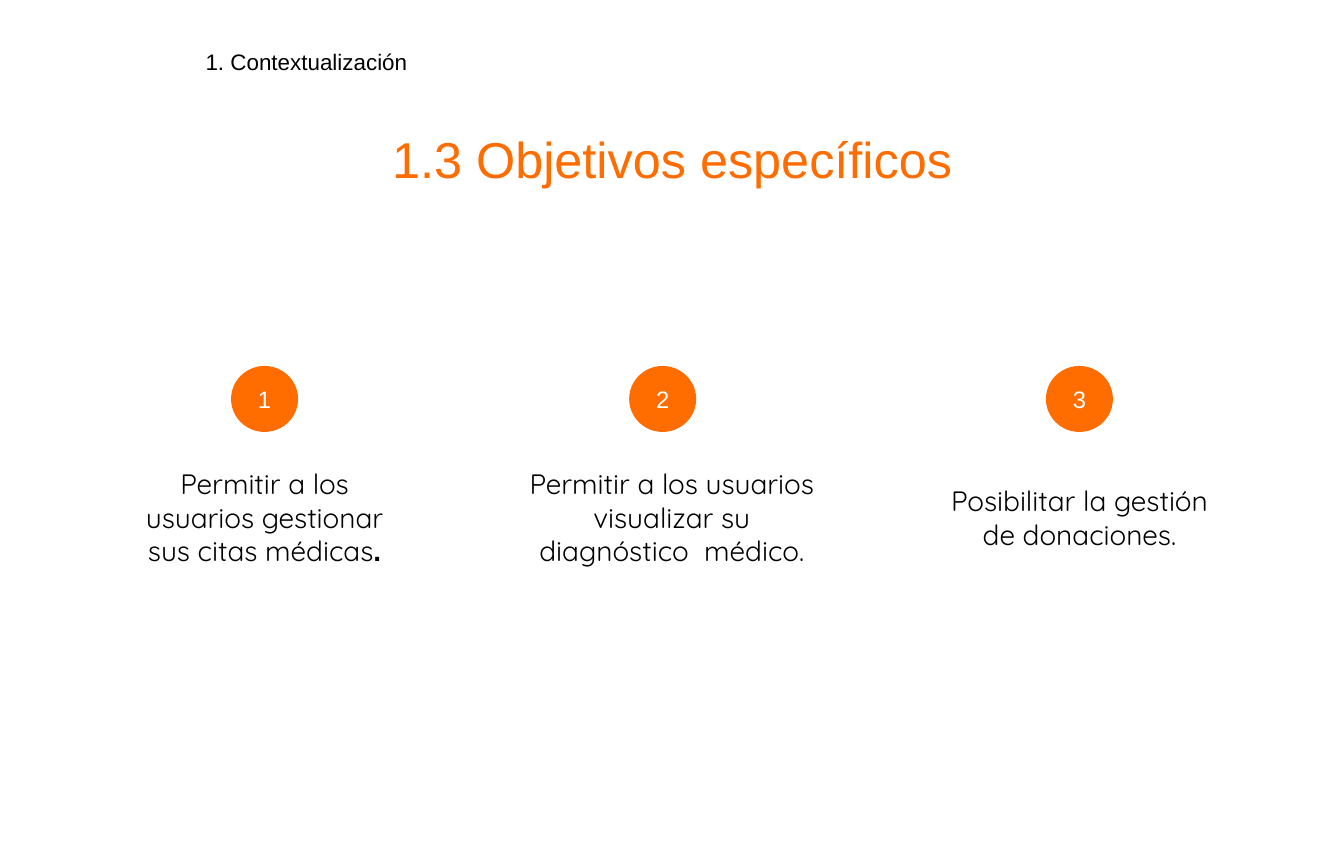
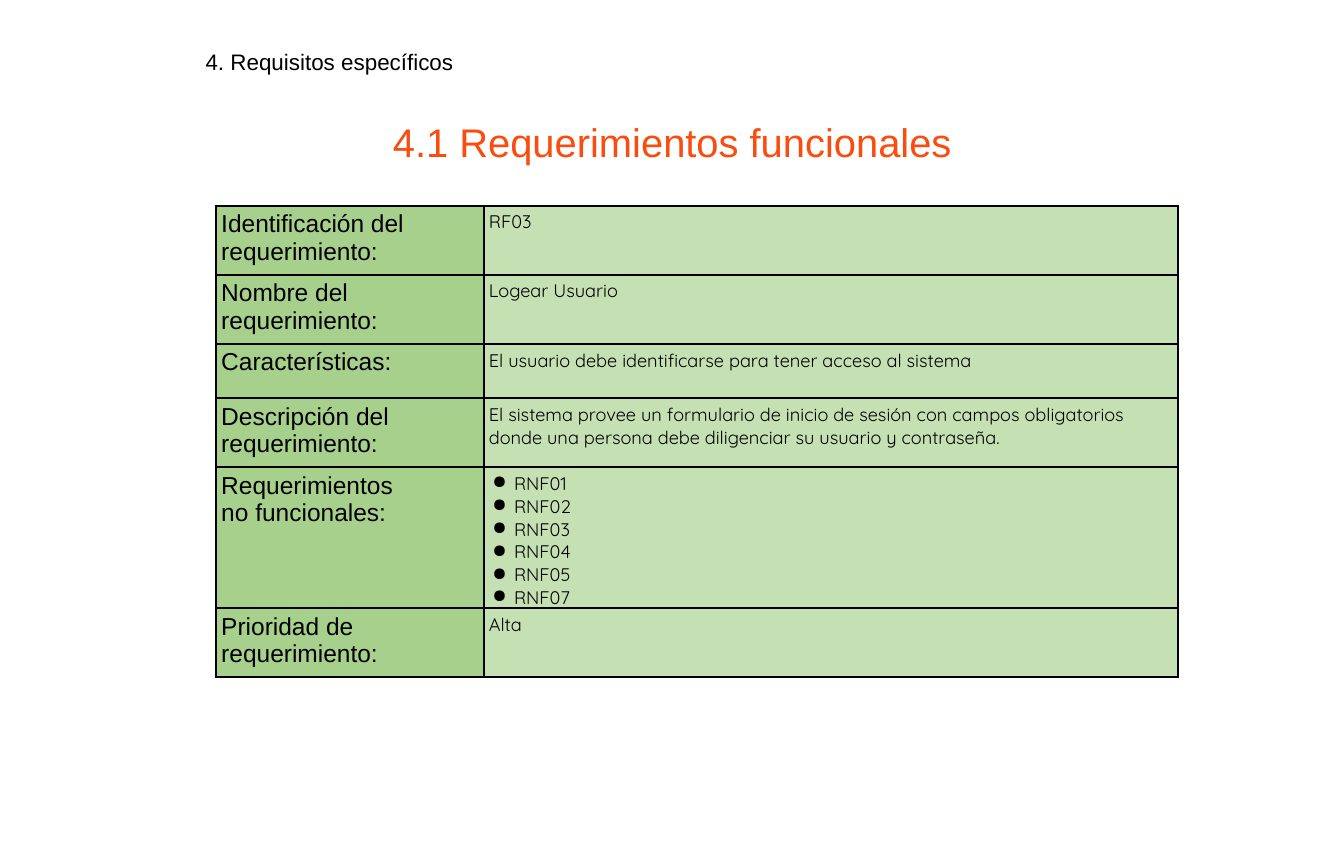
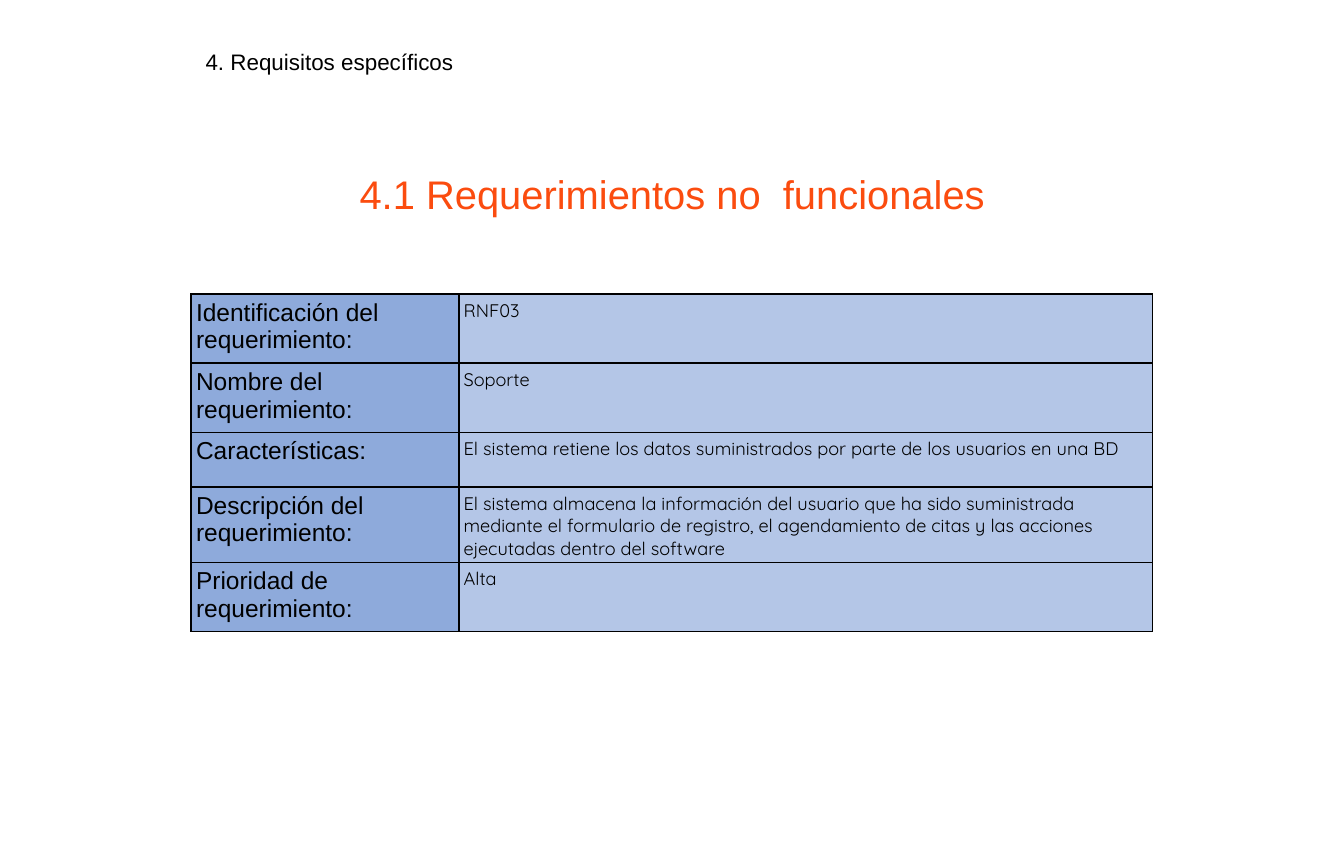
from dataclasses import dataclass

from lxml import etree
from pptx import Presentation
from pptx.dml.color import RGBColor
from pptx.enum import shapes, text
from pptx.oxml import ns
from pptx.util import Inches, Pt


@dataclass(frozen=True)
class Theme:
    heading_font: str = "Arial"
    body_font: str = "Quicksand"
    ink: str = "000000"
    white: str = "FFFFFF"
    orange: str = "FF6D00"
    red_orange: str = "FB4C0F"
    greens: tuple = ("A8D08D", "C5E0B3")
    blues: tuple = ("8EAADB", "B4C6E7")
    section_size: int = 32
    main_title_size: int = 72
    title_size: int = 57
    objective_size: int = 40
    number_size: int = 34
    label_size: int = 35
    value_size: int = 26
    border_width: int = 3


THEME = Theme()
CENTER = text.PP_ALIGN.CENTER
MIDDLE = text.MSO_ANCHOR.MIDDLE

COLUMN_WIDTHS = (5.31, 13.77)
ONE_LINE, TWO_LINES, THREE_LINES, SIX_LINES = 1.08, 1.37, 1.5, 2.8

IDENTIFIER = ["Identificación del requerimiento:"]
NAME = ["Nombre del requerimiento:"]
FEATURES = ["Características:"]
DESCRIPTION = ["Descripción del", "requerimiento:"]
NON_FUNCTIONAL = ["Requerimientos", "no funcionales:"]
PRIORITY = ["Prioridad de", "requerimiento:"]

# Centre of the number, centre of the statement, statement width, statement runs
OBJECTIVES = [
    (5.25, 5.25, 5.4, [("Permitir a los usuarios gestionar sus citas médicas", {}),
                       (".", {"name": THEME.heading_font, "bold": True})]),
    (13.15, 13.33, 6.1,
     [("Permitir a los usuarios visualizar su diagnóstico  médico.", {})]),
    (21.42, 21.42, 5.4, [("Posibilitar la gestión de donaciones.", {})]),
]

# Label, value lines, row height
FUNCTIONAL_ROWS = [
    (IDENTIFIER, ["RF03"], TWO_LINES),
    (NAME, ["Logear Usuario"], TWO_LINES),
    (FEATURES, ["El usuario debe identificarse para tener acceso al sistema"], ONE_LINE),
    (DESCRIPTION, ["El sistema provee un formulario de inicio de sesión con campos "
                   "obligatorios donde una persona debe diligenciar su usuario y "
                   "contraseña."], TWO_LINES),
    (NON_FUNCTIONAL, ["RNF01", "RNF02", "RNF03", "RNF04", "RNF05", "RNF07"], SIX_LINES),
    (PRIORITY, ["Alta"], TWO_LINES),
]
NON_FUNCTIONAL_ROWS = [
    (IDENTIFIER, ["RNF03"], TWO_LINES),
    (NAME, ["Soporte"], TWO_LINES),
    (FEATURES, ["El sistema retiene los datos suministrados por parte de los usuarios "
                "en una BD"], ONE_LINE),
    (DESCRIPTION, ["El sistema almacena la información del usuario que ha sido "
                   "suministrada mediante el formulario de registro, el agendamiento "
                   "de citas y las acciones ejecutadas dentro del software"], THREE_LINES),
    (PRIORITY, ["Alta"], TWO_LINES),
]


def apply(target, values):
    for attribute, value in values.items():
        setattr(target, attribute, value)


def style(name, size, color=THEME.ink):
    return {"name": name, "size": Pt(size), "color": color}


def format_font(font, values):
    plain = dict(values)
    color = plain.pop("color", None)
    apply(font, plain)
    if color:
        font.color.rgb = RGBColor.from_string(color)


def fill_frame(frame, runs, base, align=None, anchor=text.MSO_ANCHOR.TOP,
               side=0.1, top=0.05):
    """Write one paragraph; each run overrides the base font where it differs."""
    apply(frame, {
        "word_wrap": True, "vertical_anchor": anchor,
        "margin_left": Inches(side), "margin_right": Inches(side),
        "margin_top": Inches(top), "margin_bottom": Inches(top),
    })
    paragraph = frame.paragraphs[0]
    paragraph.alignment = align
    for words, changes in runs:
        run = paragraph.add_run()
        run.text = words
        format_font(run.font, {**base, **changes})


def add_text(slide, box, runs, base, **layout):
    textbox = slide.shapes.add_textbox(*map(Inches, box))
    fill_frame(textbox.text_frame, runs, base, **layout)


def start_slide(deck, section, title, title_top, title_size, title_color):
    slide = deck.slides.add_slide(deck.slide_layouts[6])
    add_text(slide, (3.98, 0.9, 20.92, 0.64), [(section, {})],
             style(THEME.heading_font, THEME.section_size))
    add_text(slide, (2.88, title_top, 20.92, 1.06), [(title, {})],
             style(THEME.heading_font, title_size, title_color), align=CENTER)
    return slide


def add_number(slide, number, center):
    width, height = 1.33, 1.31
    circle = slide.shapes.add_shape(
        shapes.MSO_SHAPE.OVAL,
        *map(Inches, (center - width / 2, 7.26, width, height)))
    circle.shadow.inherit = False
    circle.fill.solid()
    circle.fill.fore_color.rgb = RGBColor.from_string(THEME.orange)
    circle.line.fill.background()
    fill_frame(circle.text_frame, [(str(number), {})],
               style(THEME.heading_font, THEME.number_size, THEME.white),
               align=CENTER, anchor=MIDDLE, side=0.08, top=0.08)


def add_objectives(slide):
    for number, (number_center, center, width, runs) in enumerate(OBJECTIVES, 1):
        add_number(slide, number, number_center)
        add_text(slide, (center - width / 2, 9.17, width, 2.18), runs,
                 style(THEME.body_font, THEME.objective_size),
                 align=CENTER, anchor=MIDDLE, side=0.08, top=0.08)


def add_element(parent, tag, **attributes):
    return etree.SubElement(parent, ns.qn(tag), **attributes)


def add_color(parent):
    add_element(parent, "a:srgbClr", val=THEME.ink)


def add_bullet(paragraph):
    properties = paragraph._p.get_or_add_pPr()
    apply_indent = {"marL": Inches(0.5), "indent": Inches(-0.43)}
    for name, length in apply_indent.items():
        properties.set(name, str(length))
    add_color(add_element(properties, "a:buClr"))
    add_element(properties, "a:buChar", char="●")


def add_borders(cell):
    properties = cell._tc.get_or_add_tcPr()
    for side in ("a:lnL", "a:lnR", "a:lnT", "a:lnB"):
        line = add_element(properties, side, w=str(Pt(THEME.border_width)))
        add_color(add_element(line, "a:solidFill"))


def fill_cell(cell, lines, font, color, bulleted=False):
    add_borders(cell)
    cell.fill.solid()
    cell.fill.fore_color.rgb = RGBColor.from_string(color)
    apply(cell, {"margin_left": Inches(0.1), "margin_right": Inches(0.1),
                 "margin_top": Inches(0.1), "margin_bottom": 0})
    cell.text_frame.text = "\n".join(lines)
    for paragraph in cell.text_frame.paragraphs:
        if bulleted:
            add_bullet(paragraph)
        format_font(paragraph.runs[0].font, font)


def add_requirement_table(slide, left, top, rows, colors):
    height = sum(row[2] for row in rows)
    frame = slide.shapes.add_table(
        len(rows), len(COLUMN_WIDTHS),
        *map(Inches, (left, top, sum(COLUMN_WIDTHS), height)))
    table = frame.table
    apply(table, {"first_row": False, "horz_banding": False})
    for column, width in zip(table.columns, COLUMN_WIDTHS):
        column.width = Inches(width)
    fonts = (style(THEME.heading_font, THEME.label_size),
             style(THEME.body_font, THEME.value_size))
    for row, (label, value, row_height) in zip(table.rows, rows):
        row.height = Inches(row_height)
        fill_cell(row.cells[0], label, fonts[0], colors[0])
        fill_cell(row.cells[1], value, fonts[1], colors[1], bulleted=len(value) > 1)


def main():
    deck = Presentation()
    apply(deck, {"slide_width": Inches(26.67), "slide_height": Inches(17.22)})

    objectives = start_slide(deck, "1. Contextualización", "1.3 Objetivos específicos",
                             2.5, THEME.main_title_size, THEME.orange)
    add_objectives(objectives)

    requirements = [
        ("4.1 Requerimientos funcionales", 2.28, 4.29, 4.08,
         FUNCTIONAL_ROWS, THEME.greens),
        ("4.1 Requerimientos no  funcionales", 3.32, 3.79, 5.84,
         NON_FUNCTIONAL_ROWS, THEME.blues),
    ]
    for title, title_top, left, top, rows, colors in requirements:
        slide = start_slide(deck, "4. Requisitos específicos", title, title_top,
                            THEME.title_size, THEME.red_orange)
        add_requirement_table(slide, left, top, rows, colors)

    deck.save("out.pptx")


if __name__ == "__main__":
    main()
